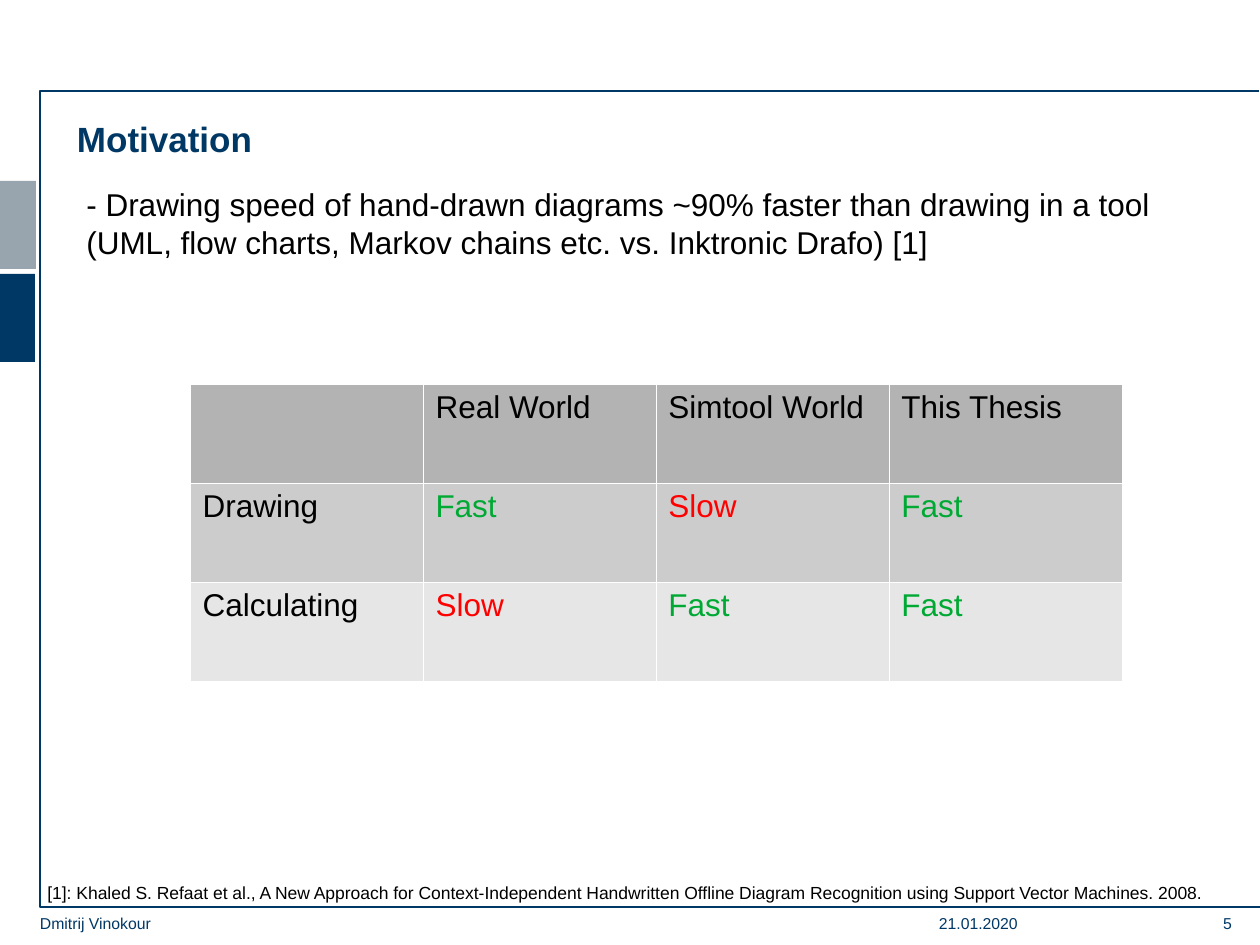
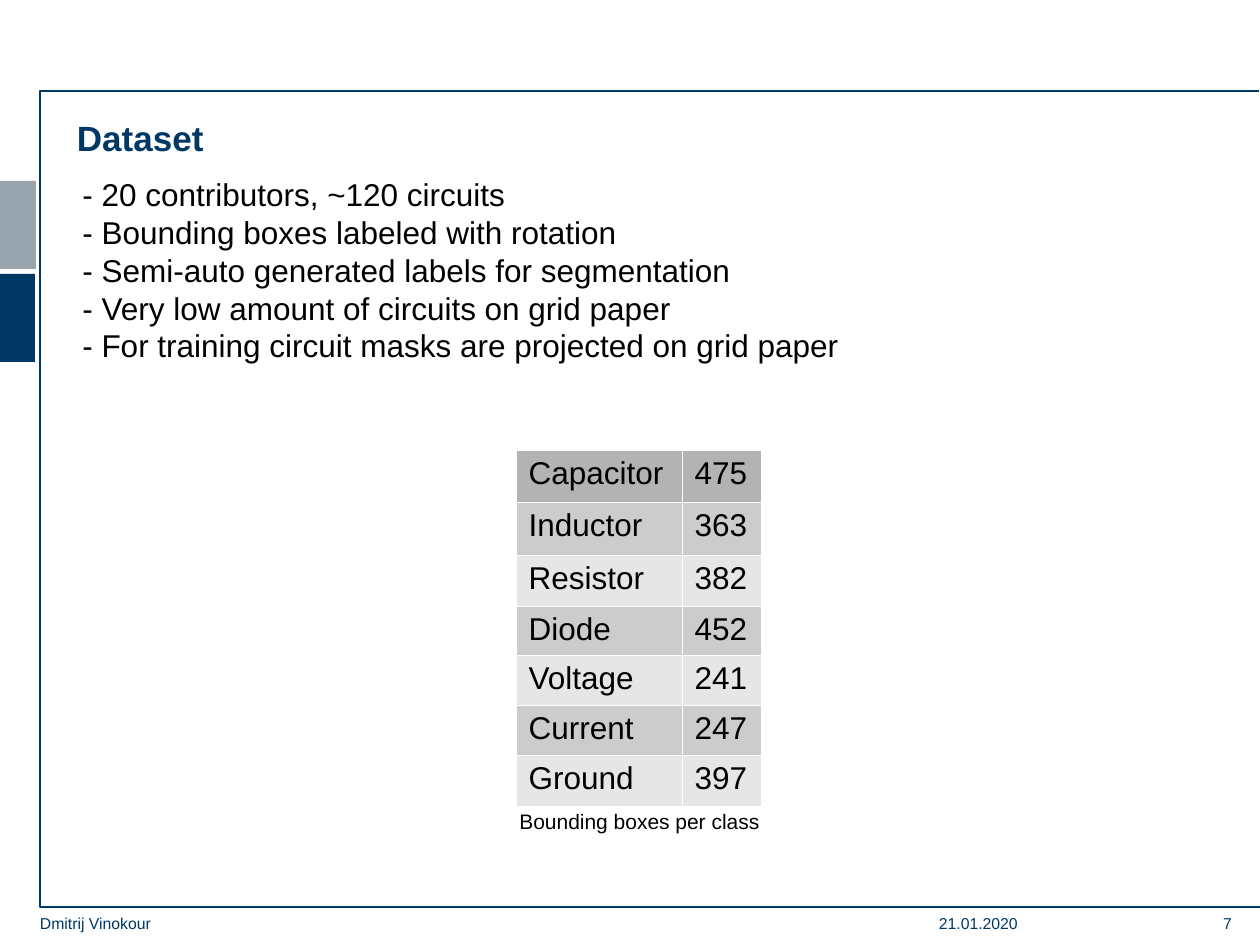
from dataclasses import dataclass

from lxml.etree import SubElement
from pptx import Presentation
from pptx.dml.color import RGBColor as RGB
from pptx.enum.shapes import MSO_SHAPE as Shape
from pptx.enum.text import MSO_ANCHOR as Anchor, MSO_AUTO_SIZE as AutoSize, PP_ALIGN as Align
from pptx.oxml.ns import qn
from pptx.util import Emu, Pt

EMU_PER_PX = 914400 / 126
SLIDE_W, SLIDE_H = 1260, 945


def px(length):
    return Emu(round(length * EMU_PER_PX))


@dataclass(frozen=True)
class Theme:
    font: str = "Arial"
    navy: str = "003865"
    steel: str = "98A4AE"
    ink: str = "000000"
    fast: str = "00A933"
    slow: str = "FF0000"
    header_row: str = "B3B3B3"
    body_rows: tuple = ("CCCCCC", "E6E6E6")
    cell_border: str = "FFFFFF"
    title: int = 20
    body: int = 18
    caption: int = 12
    reference: int = 10
    footer: int = 9
    frame_line: float = 0.75
    border_line: float = 0.06


class Deck:
    def __init__(self, theme):
        self.theme = theme
        self.prs = Presentation()
        self.prs.slide_width, self.prs.slide_height = px(SLIDE_W), px(SLIDE_H)
        self.slide = None

    def new_slide(self, title, number, title_height):
        """Start a slide with the shared side bands, frame, title and footer."""
        t = self.theme
        self.slide = self.prs.slides.add_slide(self.prs.slide_layouts[6])
        self.band(0, 274, 35, 88, t.navy)
        self.band(0, 181, 36, 88, t.steel)
        self.frame([(1259, 91), (40, 91), (40, 907), (1260, 907)])
        self.text((77, 117, 1149, title_height), [title], t.title, t.navy,
                  bold=True, inset=False, space_before=4)
        for left, width, words, align in (
            (939, 149, "21.01.2020", Align.LEFT),
            (1134, 98, number, Align.RIGHT),
            (40, 843, "Dmitrij Vinokour", Align.LEFT),
        ):
            self.text((left, 914, width, 26), [words], t.footer, t.navy,
                      inset=False, align=align)

    def band(self, left, top, width, height, color):
        band = self.slide.shapes.add_shape(
            Shape.RECTANGLE, px(left), px(top), px(width), px(height))
        band.shadow.inherit = False
        band.fill.solid()
        band.fill.fore_color.rgb = RGB.from_string(color)
        band.line.fill.background()

    def frame(self, points):
        outline = self.slide.shapes.build_freeform(*points[0], scale=EMU_PER_PX)
        outline.add_line_segments(points[1:], close=False)
        frame = outline.convert_to_shape()
        frame.shadow.inherit = False
        frame.fill.background()
        frame.line.color.rgb = RGB.from_string(self.theme.navy)
        frame.line.width = Pt(self.theme.frame_line)

    def run(self, paragraph, words, size, color, bold=False):
        run = paragraph.add_run()
        run.text = words
        run.font.name = self.theme.font
        run.font.size = Pt(size)
        run.font.bold = bold
        run.font.color.rgb = RGB.from_string(color)

    def text(self, box, lines, size, color=None, bold=False, inset=True,
             align=Align.LEFT, space_before=0, wrap=True):
        area = self.slide.shapes.add_textbox(*map(px, box)).text_frame
        area.word_wrap = wrap
        area.auto_size = AutoSize.NONE if wrap else AutoSize.SHAPE_TO_FIT_TEXT
        area.vertical_anchor = Anchor.TOP
        if not inset:
            area.margin_left = area.margin_right = 0
            area.margin_top = area.margin_bottom = 0
        for i, line in enumerate(lines):
            paragraph = area.add_paragraph() if i else area.paragraphs[0]
            paragraph.alignment = align
            paragraph.space_before = Pt(space_before)
            self.run(paragraph, line, size, color or self.theme.ink, bold)

    def table(self, left, top, columns, rows, data, word_colors=None):
        t = self.theme
        grid = self.slide.shapes.add_table(
            len(rows), len(columns), px(left), px(top),
            px(sum(columns)), px(sum(rows))).table
        for column, width in zip(grid.columns, columns):
            column.width = px(width)
        for r, (height, entries) in enumerate(zip(rows, data)):
            grid.rows[r].height = px(height)
            fill = t.body_rows[(r - 1) % 2] if r else t.header_row
            for c, words in enumerate(entries):
                cell = grid.cell(r, c)
                self.borders(cell)
                cell.fill.solid()
                cell.fill.fore_color.rgb = RGB.from_string(fill)
                if words:
                    color = (word_colors or {}).get(words, t.ink)
                    self.run(cell.text_frame.paragraphs[0], words, t.body, color)

    def borders(self, cell):
        properties = cell._tc.get_or_add_tcPr()
        for side in ("lnL", "lnR", "lnT", "lnB"):
            line = SubElement(properties, qn(f"a:{side}"),
                              w=str(Pt(self.theme.border_line)))
            fill = SubElement(line, qn("a:solidFill"))
            SubElement(fill, qn("a:srgbClr"), val=self.theme.cell_border)


def add_motivation(deck):
    t = deck.theme
    deck.new_slide("Motivation", "5", title_height=72)
    deck.text((74, 179, 1108, 668), [
        "- Drawing speed of hand-drawn diagrams ~90% faster than drawing in a tool "
        "(UML, flow charts, Markov chains etc. vs. Inktronic Drafo) [1]",
    ], t.body)
    deck.text((35, 876, 1225, 38), [
        "[1]: Khaled S. Refaat et al., A New Approach for Context-Independent "
        "Handwritten Offline Diagram Recognition using Support Vector Machines. 2008.",
    ], t.reference)
    # Speed comparison
    deck.table(190, 384, [233] * 4, [99] * 3, [
        ("", "Real World", "Simtool World", "This Thesis"),
        ("Drawing", "Fast", "Slow", "Fast"),
        ("Calculating", "Slow", "Fast", "Fast"),
    ], word_colors={"Fast": t.fast, "Slow": t.slow})


def add_dataset(deck):
    t = deck.theme
    deck.new_slide("Dataset", "7", title_height=189)
    deck.text((70, 169, 1032, 272), [
        "- 20 contributors, ~120 circuits",
        "- Bounding boxes labeled with rotation",
        "- Semi-auto generated labels for segmentation",
        "- Very low amount of circuits on grid paper",
        "- For training circuit masks are projected on grid paper",
    ], t.body)
    # Class counts and their caption
    deck.table(516, 450, [166, 79], [52, 53, 51, 49, 50, 50, 51], [
        ("Capacitor", "475"),
        ("Inductor", "363"),
        ("Resistor", "382"),
        ("Diode", "452"),
        ("Voltage", "241"),
        ("Current", "247"),
        ("Ground", "397"),
    ])
    deck.text((507, 802, 266, 37), ["Bounding boxes per class"], t.caption, wrap=False)


def main():
    deck = Deck(Theme())
    add_motivation(deck)
    add_dataset(deck)
    deck.prs.save("out.pptx")


if __name__ == "__main__":
    main()
